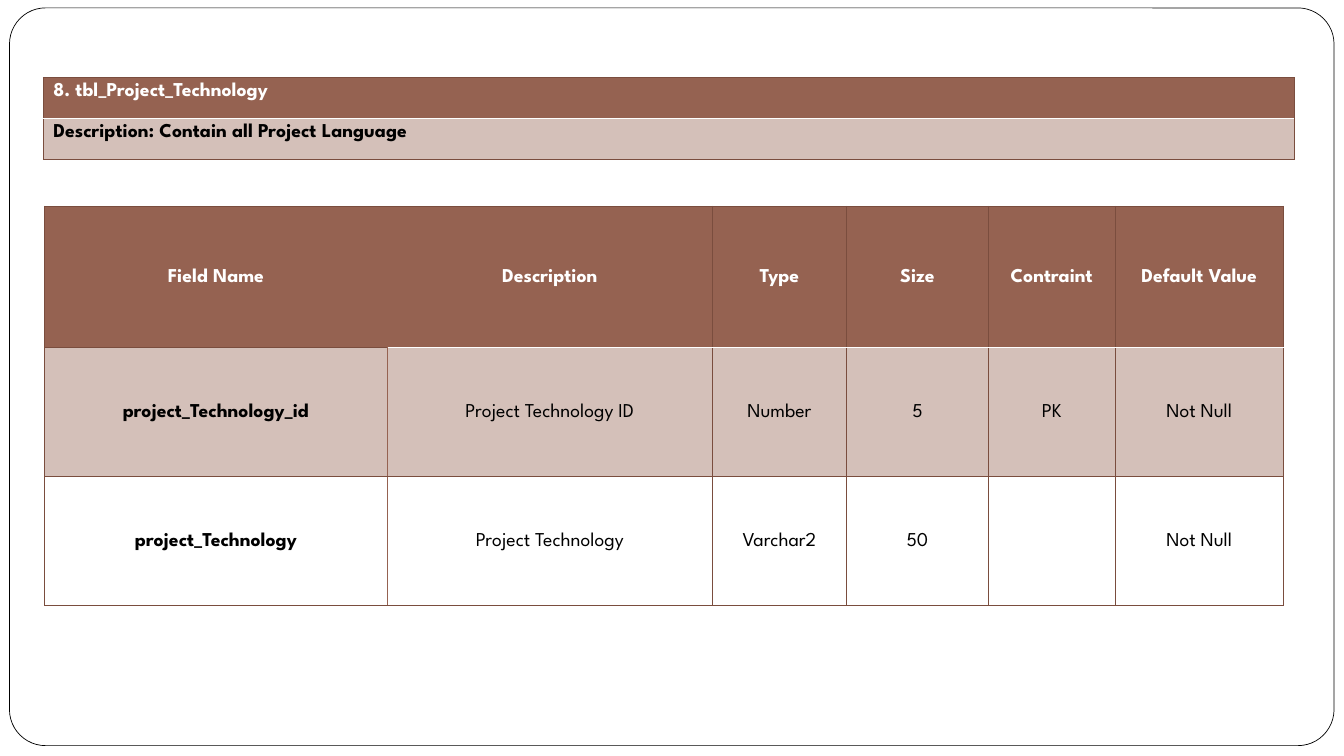
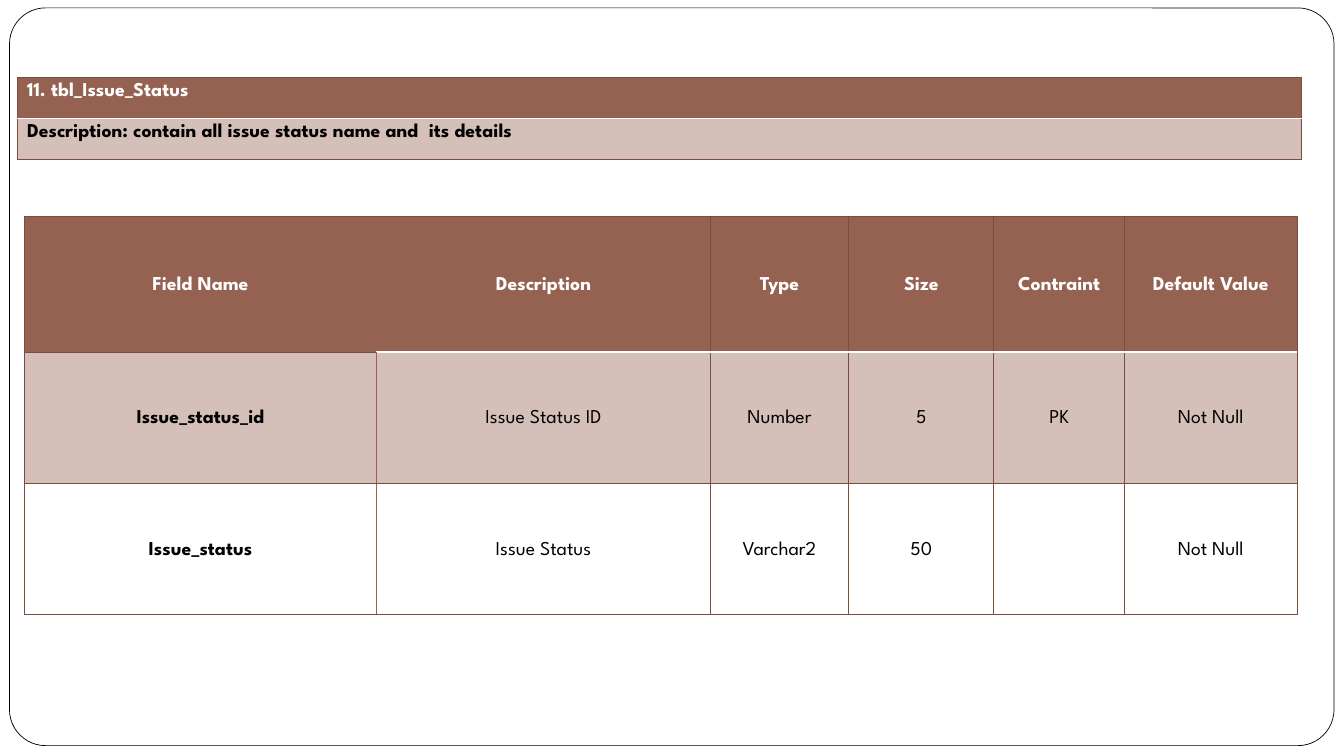
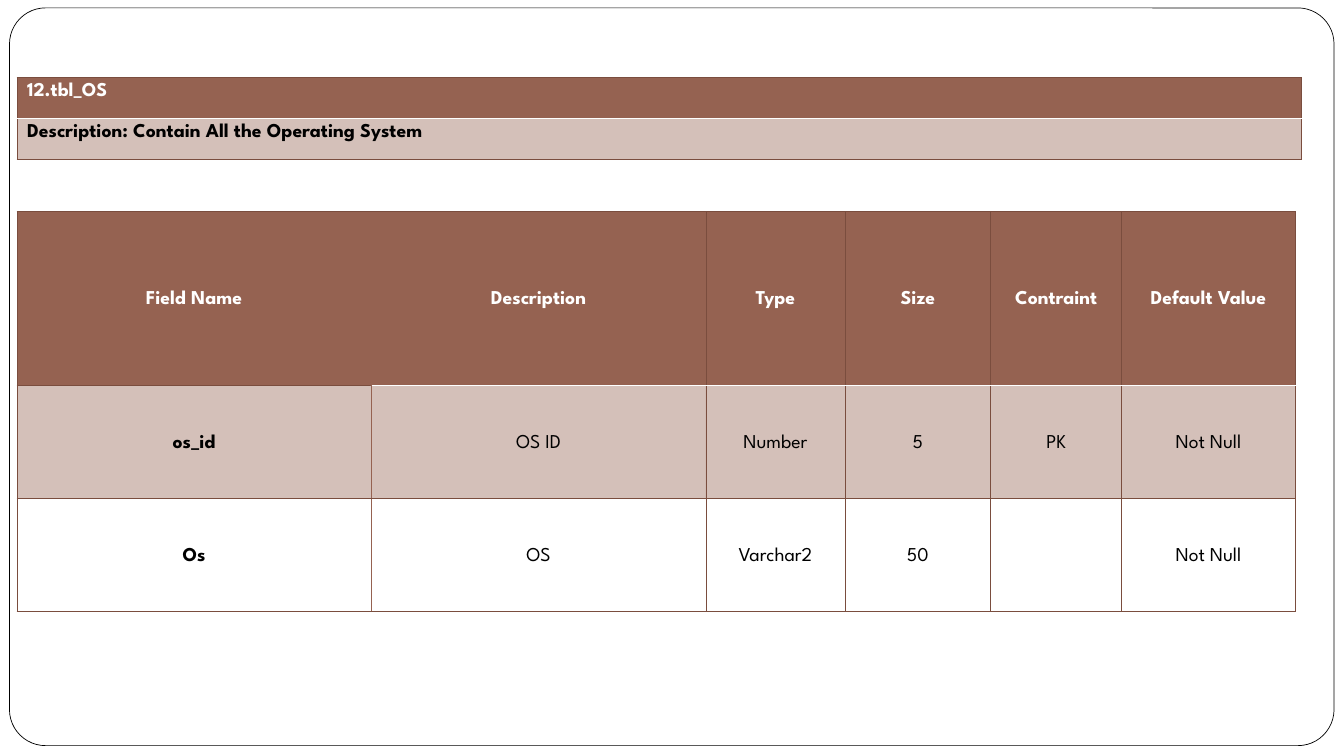
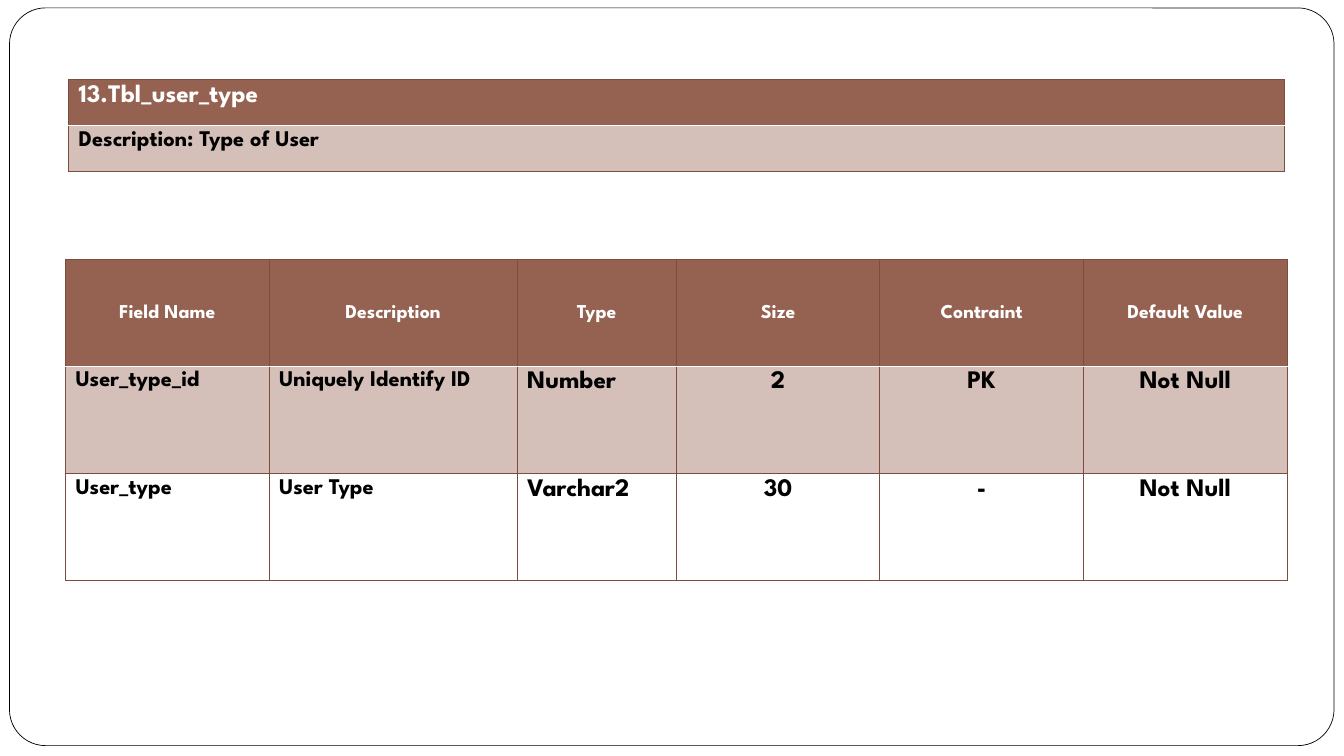
from lxml.etree import SubElement as Sub
from pptx import Presentation
from pptx.dml.color import RGBColor as RGB
from pptx.enum.shapes import MSO_SHAPE as SHAPE
from pptx.enum.text import MSO_ANCHOR as ANCHOR, PP_ALIGN as ALIGN
from pptx.oxml.ns import qn
from pptx.util import Cm, Pt

FONT = "League Spartan"
HEX = {"brown": "956251", "edge": "7A4D3E", "white": "FFFFFF", "black": "000000"}
EDGE, RULE, SEAM = ("edge", 0.75), ("white", 1), ("brown", 1)
HEAD = ["Field Name", "Description", "Type", "Size", "Contraint", "Default Value"]
WIDE = [27.7, 26.2, 10.88, 11.4, 10.27, 13.55]
EVEN = [16.67, 20.3, 13.03, 16.67, 16.66, 16.67]

PAGES = [
    {
        "title": "8. tbl_Project_Technology",
        "about": "Description: Contain all Project Language",
        "band": (1.09, 1.96, 31.52, 1.03),
        "grid": (1.12, 5.2, 31.22),
        "high": (3.55, 3.25, 3.25),
        "rows": [
            ["project_Technology_id", "Project Technology ID", "Number", "5", "PK", "Not Null"],
            ["project_Technology", "Project Technology", "Varchar2", "50", "", "Not Null"],
        ],
    },
    {
        "title": "11. tbl_Issue_Status",
        "about": "Description: contain all issue status name and  its details",
        "band": (0.43, 1.96, 32.36, 1.03),
        "grid": (0.61, 5.45, 32.08),
        "high": (3.42, 3.31, 3.31),
        "rows": [
            ["Issue_status_id", "Issue Status ID", "Number", "5", "PK", "Not Null"],
            ["Issue_status", "Issue Status", "Varchar2", "50", "", "Not Null"],
        ],
    },
    {
        "title": "12.tbl_OS",
        "about": "Description: Contain All the Operating System",
        "band": (0.43, 1.96, 32.36, 1.03),
        "grid": (0.43, 5.33, 32.21),
        "high": (4.39, 2.85, 2.85),
        "rows": [
            ["os_id", "OS ID", "Number", "5", "PK", "Not Null"],
            ["Os", "OS", "Varchar2", "50", "", "Not Null"],
        ],
    },
    {
        "title": "13.Tbl_user_type",
        "about": "Description: Type of User",
        "band": (1.73, 2.01, 30.63, 1.16),
        "grid": (1.65, 6.53, 30.79),
        "high": (2.7, 2.7, 2.7),
        "bold": True,
        "rows": [
            ["User_type_id", "Uniquely Identify ID", "Number", "2", "PK", "Not Null"],
            ["User_type", "User Type", "Varchar2", "30", "-", "Not Null"],
        ],
    },
]


def rgb(name):
    return RGB.from_string(HEX[name])


def frame(deck, slide):
    box = slide.shapes.add_shape(
        SHAPE.ROUNDED_RECTANGLE, Cm(0.24), Cm(0.2), Cm(33.38), Cm(18.59))
    box.adjustments[0] = 0.049
    box.shadow.inherit = False
    box.fill.solid()
    box.fill.fore_color.rgb = rgb("white")
    box.line.color.rgb = rgb("black")
    box.line.width = Pt(0.5)
    deck.slide_master.shapes.element.insert(2, box.element)


def table(slide, left, top, widths, heights):
    grid = slide.shapes.add_table(
        len(heights), len(widths), Cm(left), Cm(top),
        Cm(sum(widths)), Cm(sum(heights))).table
    for col, size in zip(grid.columns, widths):
        col.width = Cm(size)
    for row, size in zip(grid.rows, heights):
        row.height = Cm(size)
    return grid


def write(cell, text, size, ink="black", bold=True, align=ALIGN.LEFT):
    cell.text = text
    para = cell.text_frame.paragraphs[0]
    para.alignment = align
    font = para.font
    font.name, font.size, font.bold = FONT, Pt(size), bold
    font.color.rgb = rgb(ink)


def center(cell):
    cell.vertical_anchor = ANCHOR.MIDDLE
    cell.margin_left = cell.margin_right = Cm(0.18)
    cell.margin_top = cell.margin_bottom = 0
    cell.text_frame.paragraphs[0].line_spacing = 1.15


def paint(cell, row):
    if row > 1:
        cell.fill.background()
        return
    cell.fill.solid()
    cell.fill.fore_color.rgb = rgb("brown")
    if row == 1:
        props = cell._tc.get_or_add_tcPr()
        tint = next(props.iter(qn("a:srgbClr")))
        Sub(tint, qn("a:alpha"), val="40000")


def border(cell, left=EDGE, right=EDGE, top=EDGE, bottom=EDGE):
    props = cell._tc.get_or_add_tcPr()
    sides = zip("LRTB", (left, right, top, bottom))
    for spot, (side, line) in enumerate(sides):
        name, width = line or ("brown", 0)
        edge = Sub(props, qn("a:ln" + side), w=str(Pt(width)))
        if line:
            fill = Sub(edge, qn("a:solidFill"))
            Sub(fill, qn("a:srgbClr"), val=HEX[name])
        else:
            Sub(edge, qn("a:noFill"))
        props.insert(spot, edge)


def banner(slide, page):
    left, top, width, high = page["band"]
    sizes = (18, 16) if page.get("bold") else (14, 14)
    grid = table(slide, left, top, [width], [high, high])
    for row, text in enumerate((page["title"], page["about"])):
        cell = grid.cell(row, 0)
        write(cell, text, sizes[row], "black" if row else "white")
        paint(cell, row)
        border(cell, top=RULE if row else EDGE, bottom=EDGE if row else RULE)


def fields(slide, page):
    left, top, width = page["grid"]
    bold = page.get("bold", False)
    widths = [width * part / 100 for part in (EVEN if bold else WIDE)]
    grid = table(slide, left, top, widths, page["high"])
    for row, texts in enumerate([HEAD] + page["rows"]):
        seam = EDGE if bold else SEAM if row else None
        for col, text in enumerate(texts):
            cell = grid.cell(row, col)
            rule = EDGE if col == 0 and not bold else RULE
            if row and bold:
                write(cell, text, 16 if col < 2 else 18,
                      align=ALIGN.LEFT if col < 3 else ALIGN.CENTER)
            else:
                write(cell, text, 14, "black" if row else "white",
                      row == 0 or col == 0, ALIGN.CENTER)
                center(cell)
            paint(cell, row)
            border(cell,
                   left=seam if col == 1 else EDGE,
                   right=seam if col == 0 else EDGE,
                   top=rule if row == 1 else EDGE,
                   bottom=rule if row == 0 else EDGE)


def main():
    deck = Presentation()
    deck.slide_width, deck.slide_height = Cm(33.87), Cm(19.05)
    for page in PAGES:
        slide = deck.slides.add_slide(deck.slide_layouts[6])
        if page is PAGES[0]:
            frame(deck, slide)
        fields(slide, page)
        banner(slide, page)
    deck.save("out.pptx")


if __name__ == "__main__":
    main()
